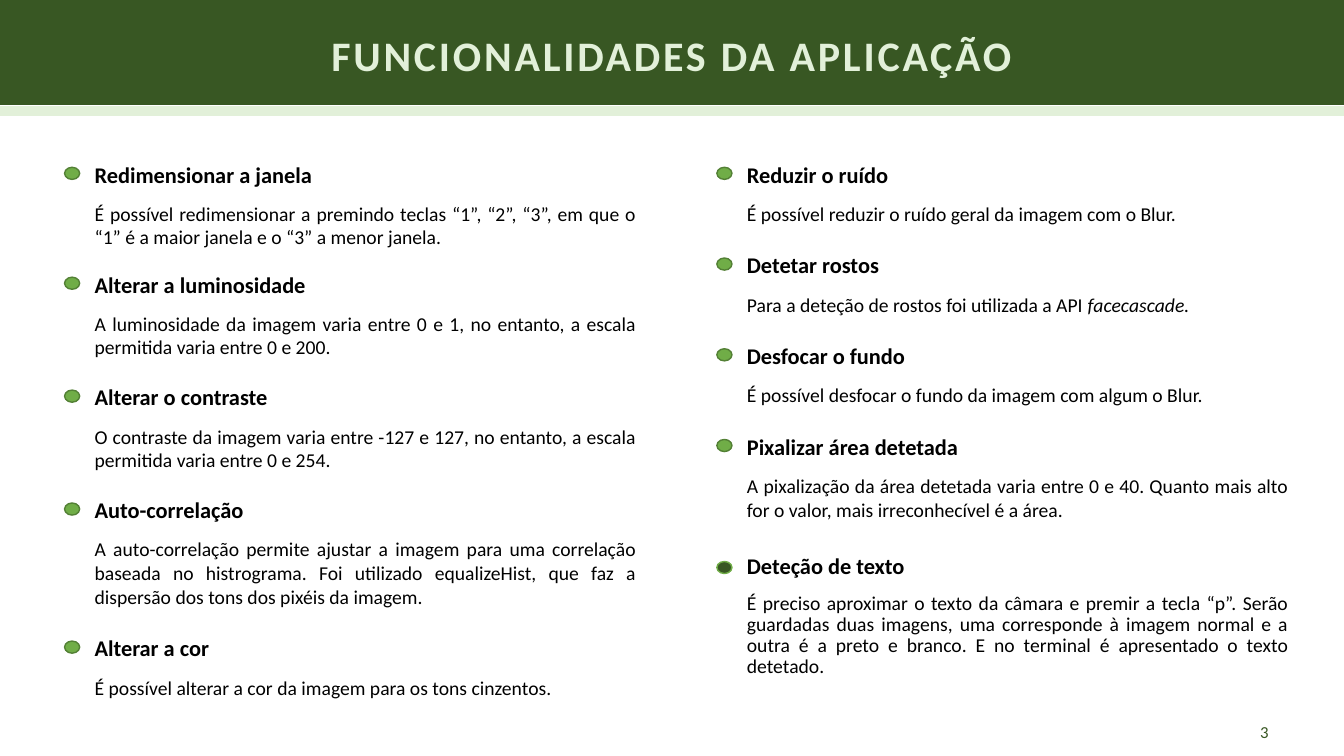
from pptx import Presentation
from pptx.dml.color import RGBColor
from pptx.enum.shapes import MSO_SHAPE
from pptx.enum.text import MSO_ANCHOR, PP_ALIGN
from pptx.util import Inches, Pt

COLORS = {
    "dark": "385723",
    "pale": "E2F0D9",
    "green": "70AD47",
    "edge": "538035",
    "black": "000000",
}
WIDTH = 13.33
LEFT, RIGHT = 0.64, 7.11

# Column, top, heading, body parts as (text, italic)
TOPICS = [
    (LEFT, 1.52, "Redimensionar a janela", [
        ("É possível redimensionar a premindo teclas “1”, “2”, “3”, em que o "
         "“1” é a maior janela e o “3” a menor janela.", False)]),
    (LEFT, 2.61, "Alterar a luminosidade", [
        ("A luminosidade da imagem varia entre 0 e 1, no entanto, a escala "
         "permitida varia entre 0 e 200.", False)]),
    (LEFT, 3.73, "Alterar o contraste", [
        ("O contraste da imagem varia entre -127 e 127, no entanto, a escala "
         "permitida varia entre 0 e 254.", False)]),
    (LEFT, 4.85, "Auto-correlação", [
        ("A auto-correlação permite ajustar a imagem para uma correlação "
         "baseada no histrograma. Foi utilizado equalizeHist, que faz a "
         "dispersão dos tons dos pixéis da imagem.", False)]),
    (LEFT, 6.22, "Alterar a cor", [
        ("É possível alterar a cor da imagem para os tons cinzentos.", False)]),
    (RIGHT, 1.52, "Reduzir o ruído", [
        ("É possível reduzir o ruído geral da imagem com o Blur.", False)]),
    (RIGHT, 2.42, "Detetar rostos", [
        ("Para a deteção de rostos foi utilizada a API ", False),
        ("facecascade.", True)]),
    (RIGHT, 3.32, "Desfocar o fundo", [
        ("É possível desfocar o fundo da imagem com algum o Blur.", False)]),
    (RIGHT, 4.22, "Pixalizar área detetada", [
        ("A pixalização da área detetada varia entre 0 e 40. Quanto mais alto "
         "for o valor, mais irreconhecível é a área.", False)]),
]
LAST = (RIGHT, 5.43, "Deteção de texto", [
    ("É preciso aproximar o texto da câmara e premir a tecla “p”. Serão "
     "guardadas duas imagens, uma corresponde à imagem normal e a outra é a "
     "preto e branco. E no terminal é apresentado o texto detetado.", False)])


def rgb(name):
    return RGBColor.from_string(COLORS[name])


def add_shape(shapes, kind, box, fill, line):
    shape = shapes.add_shape(kind, *map(Inches, box))
    shape.shadow.inherit = False
    shape.fill.solid()
    shape.fill.fore_color.rgb = rgb(fill)
    shape.line.color.rgb = rgb(line)
    shape.line.width = Pt(1)


def add_box(shapes, box, anchor=MSO_ANCHOR.TOP):
    frame = shapes.add_textbox(*map(Inches, box)).text_frame
    frame.word_wrap = True
    frame.vertical_anchor = anchor
    return frame


def set_para(para, align, spacing=1.0, before=0):
    para.alignment = align
    para.line_spacing = spacing
    para.space_before = Pt(before)


def add_run(para, text, size, color, bold=False, italic=False):
    run = para.add_run()
    run.text = text
    font = run.font
    font.name = "Calibri"
    font.size = Pt(size)
    font.bold = bold
    font.italic = italic
    font.color.rgb = rgb(color)
    return run


def add_header(slide, title):
    shapes = slide.shapes.add_group_shape().shapes
    bar = MSO_SHAPE.RECTANGLE
    add_shape(shapes, bar, (0, 0, WIDTH, 1.04), "dark", "dark")
    add_shape(shapes, bar, (0, 1.06, WIDTH, 0.08), "pale", "pale")
    para = add_box(shapes, (0, 0, WIDTH, 1.14), MSO_ANCHOR.MIDDLE).paragraphs[0]
    set_para(para, PP_ALIGN.CENTER, 0.9)
    run = add_run(para, title, 30, "pale", bold=True)
    run.font._element.set("spc", "200")


def add_topic(slide, left, top, name, parts,
              fill="green", line="edge", head=1.1, body=1.0):
    """Add a dot, a heading and its text; head and body are line spacings."""
    shapes = slide.shapes.add_group_shape().shapes
    add_shape(shapes, MSO_SHAPE.OVAL, (left, top + 0.14, 0.15, 0.12), fill, line)
    frame = add_box(shapes, (left + 0.2, top, 5.57, 1.41))
    para = frame.paragraphs[0]
    set_para(para, PP_ALIGN.JUSTIFY, head, 10)
    add_run(para, name, 16, "black", bold=True)
    para = frame.add_paragraph()
    set_para(para, PP_ALIGN.JUSTIFY, body, 10)
    for text, italic in parts:
        add_run(para, text, 14, "black", italic=italic)


def add_number(slide, text):
    box = (9.42, 7.06, 3.26, 0.4)
    para = add_box(slide.shapes, box, MSO_ANCHOR.MIDDLE).paragraphs[0]
    set_para(para, PP_ALIGN.RIGHT)
    add_run(para, text, 12, "dark")


def main():
    deck = Presentation()
    deck.slide_width = Inches(WIDTH)
    deck.slide_height = Inches(7.5)
    slide = deck.slides.add_slide(deck.slide_layouts[6])
    add_number(slide, "3")
    add_header(slide, "FUNCIONALIDADES DA APLICAÇÃO")
    for topic in TOPICS:
        add_topic(slide, *topic)
    add_topic(slide, *LAST, fill="dark", line="green", head=1.0, body=0.9)
    deck.save("out.pptx")


if __name__ == "__main__":
    main()
